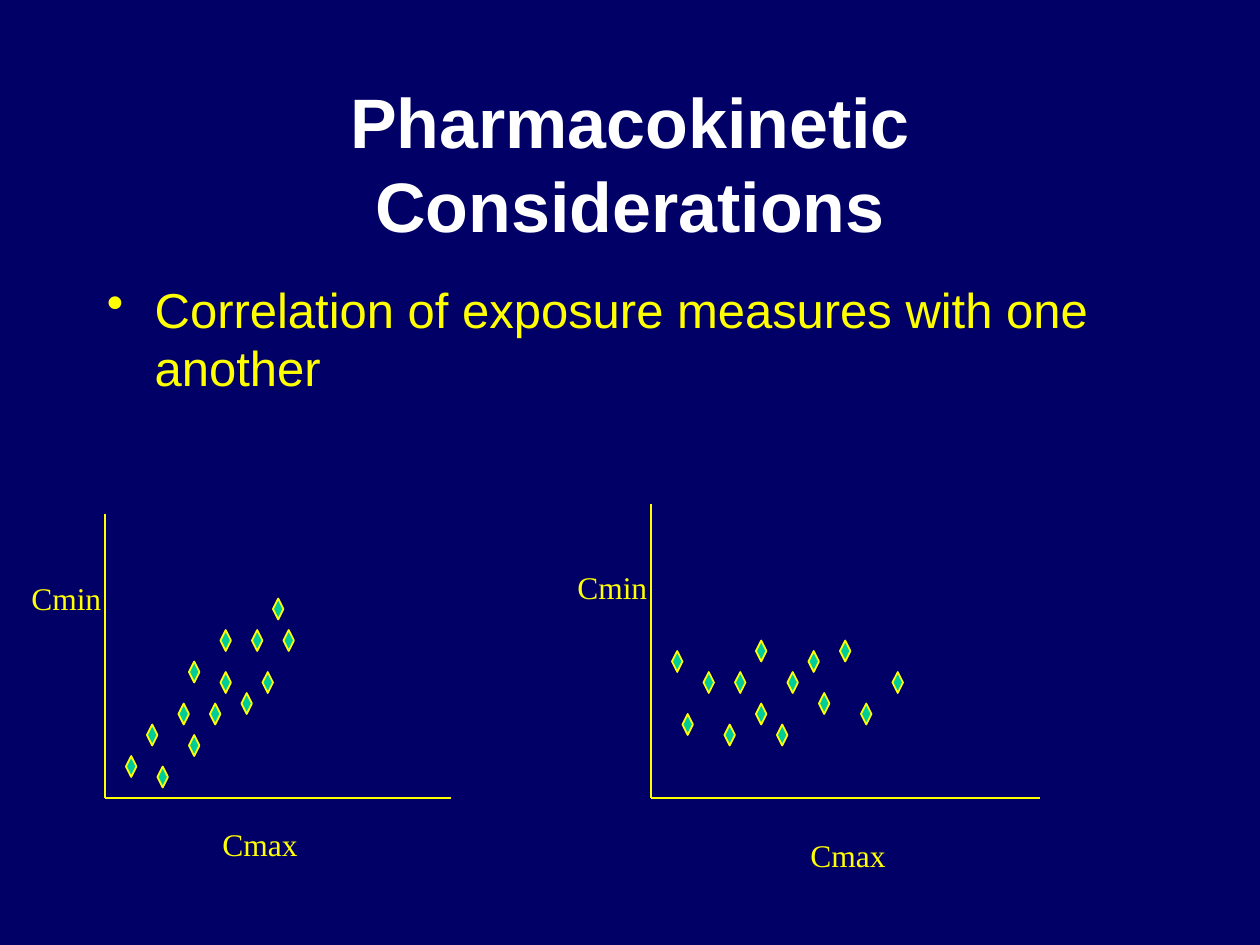
"""Build a slide with two schematic Cmin against Cmax scatter plots."""
import pptx
import pptx.dml.color
import pptx.enum.shapes
import pptx.enum.text
import pptx.oxml
import pptx.oxml.ns
import pptx.util

COLUMNS, ROWS = 120, 90
CELL = pptx.util.Inches(10) / COLUMNS
NAVY, WHITE, YELLOW, GREEN = "000066", "FFFFFF", "FFFF00", "00CC99"

PLOTS = [
    {
        "origin": (10, 76), "top": 49, "right": 43,
        "cmin": (1.8, 54.55), "cmax": (20, 78),
        "points": [(12, 72), (14, 69), (15, 73), (17, 67), (18, 70), (21, 64), (18, 63),
                   (23, 66), (20, 67), (25, 64), (21, 60), (27, 60), (24, 60), (26, 57)],
    },
    {
        "origin": (62, 76), "top": 48, "right": 99,
        "cmin": (53.8, 53.5), "cmax": (76, 79),
        "points": [(64, 62), (67, 64), (65, 68), (70, 64), (69, 69), (78, 66), (72, 61),
                   (75, 64), (72, 67), (77, 62), (74, 69), (82, 67), (80, 61), (85, 64)],
    },
]


def grid(*cells):
    """Turn grid cells into slide lengths."""
    return [pptx.util.Emu(round(cell * CELL)) for cell in cells]


def color(value):
    """Return the colour of a hex string."""
    return pptx.dml.color.RGBColor.from_string(value)


def add_text(slide, box, text, font, size, fill, wrap=True):
    """Add a one-paragraph text box and return its shape."""
    shape = slide.shapes.add_textbox(*grid(*box))
    frame = shape.text_frame
    frame.text = text
    frame.word_wrap = wrap
    run_font = frame.paragraphs[0].runs[0].font
    run_font.name = font
    run_font.size = pptx.util.Pt(size)
    run_font.color.rgb = color(fill)
    return shape


def add_title(slide, text):
    """Add the bold centred title."""
    frame = add_text(slide, (9, 8, 102, 15), text, "Arial", 40, WHITE).text_frame
    frame.vertical_anchor = pptx.enum.text.MSO_ANCHOR.MIDDLE
    paragraph = frame.paragraphs[0]
    paragraph.alignment = pptx.enum.text.PP_ALIGN.CENTER
    paragraph.runs[0].font.bold = True


def add_bullet(slide, text):
    """Add the body text with a hanging bullet."""
    shape = add_text(slide, (9, 26, 102, 54), text, "Arial", 28, YELLOW)
    paragraph = shape.text_frame.paragraphs[0]
    properties = paragraph._p.get_or_add_pPr()
    indent = pptx.util.Inches(0.38)
    properties.set("marL", str(indent))
    properties.set("indent", str(-indent))
    bullet = pptx.oxml.parse_xml(
        f'<a:buChar {pptx.oxml.ns.nsdecls("a")} char="•"/>')
    properties.append(bullet)


def add_axis(slide, start, end):
    """Add a straight axis line."""
    connector = slide.shapes.add_connector(
        pptx.enum.shapes.MSO_CONNECTOR.STRAIGHT, *grid(*start, *end))
    connector.line.color.rgb = color(YELLOW)
    connector.line.width = pptx.util.Pt(1)
    effects = pptx.oxml.parse_xml(f'<a:effectLst {pptx.oxml.ns.nsdecls("a")}/>')
    connector._element.spPr.append(effects)


def add_marker(slide, column, row):
    """Add a diamond data point."""
    shape = slide.shapes.add_shape(
        pptx.enum.shapes.MSO_SHAPE.DIAMOND, *grid(column, row, 1, 2))
    shape.shadow.inherit = False
    shape.fill.solid()
    shape.fill.fore_color.rgb = color(GREEN)
    shape.line.color.rgb = color(YELLOW)
    shape.line.width = pptx.util.Pt(1)


def add_label(slide, position, text, width):
    """Add an axis label that fits its text."""
    shape = add_text(slide, (*position, width, 4.8), text,
                     "Times New Roman", 18, YELLOW, wrap=False)
    shape.text_frame.auto_size = pptx.enum.text.MSO_AUTO_SIZE.SHAPE_TO_FIT_TEXT


def add_plot(slide, plot):
    """Add the axes, markers and labels of one scatter plot."""
    left, bottom = plot["origin"]
    add_axis(slide, (left, plot["top"]), (left, bottom))
    add_axis(slide, (left, bottom), (plot["right"], bottom))
    for column, row in plot["points"]:
        add_marker(slide, column, row)
    add_label(slide, plot["cmin"], "Cmin", 9.2)
    add_label(slide, plot["cmax"], "Cmax", 9.7)


def main():
    """Build and save the presentation."""
    presentation = pptx.Presentation()
    presentation.slide_width, presentation.slide_height = grid(COLUMNS, ROWS)
    slide = presentation.slides.add_slide(presentation.slide_layouts[6])
    slide.background.fill.solid()
    slide.background.fill.fore_color.rgb = color(NAVY)
    add_title(slide, "Pharmacokinetic Considerations")
    add_bullet(slide, "Correlation of exposure measures with one another")
    for plot in PLOTS:
        add_plot(slide, plot)
    presentation.save("out.pptx")


if __name__ == "__main__":
    main()
